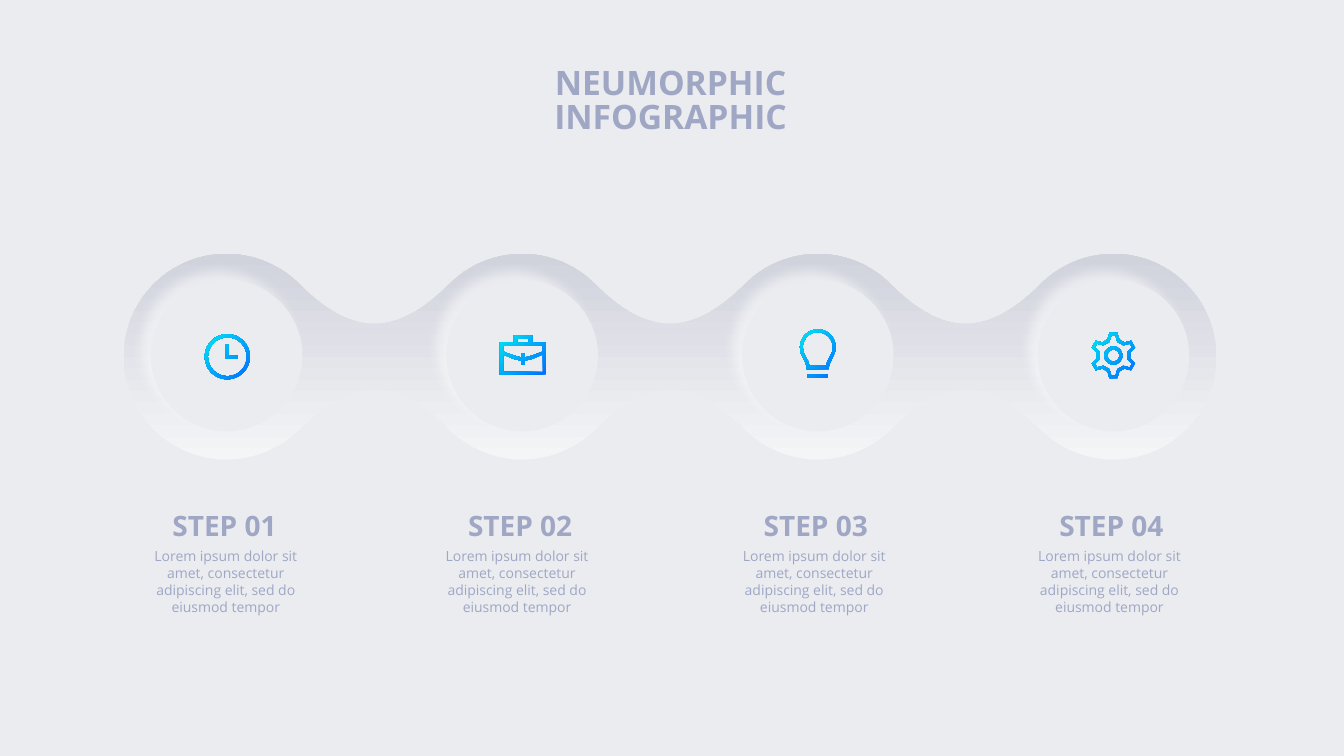
import math

from lxml import etree
from pptx import Presentation
from pptx.dml.color import RGBColor
from pptx.enum.shapes import MSO_SHAPE
from pptx.enum.text import MSO_ANCHOR, MSO_AUTO_SIZE, PP_ALIGN
from pptx.oxml.ns import qn
from pptx.util import Cm, Pt

OVAL = MSO_SHAPE.OVAL
TOP = MSO_ANCHOR.TOP
NO_FIT = MSO_AUTO_SIZE.NONE
CENTER = PP_ALIGN.CENTER

COLORS = {
    "paper": "EBECF0", "lavender": "9FA7C4", "highlight": "FFFFFF",
    "band_light": "F4F5F7", "band_dark": "D0D2DC",
    "icon_blue": "006EFF", "icon_cyan": "00E6F2",
}
FONT = "Open Sans"
TITLE_STYLE = {"size": Pt(24), "bold": True}
STEP_STYLE = {"size": Pt(20), "bold": True}
BODY_STYLE = {"size": Pt(10), "bold": False}
BODY = "Lorem ipsum dolor sit amet, consectetur adipiscing elit, sed do eiusmod tempor"

FIRST_X, CENTER_Y, PITCH = 5.71, 8.96, 7.45
LOBE_RADIUS, DISC_RADIUS, VALLEY_REACH = 2.59, 1.91, 1.34


def rgb(name):
    """Look up a named colour."""
    return RGBColor.from_string(COLORS[name])


def join(*pieces):
    """Link Bezier pieces, bridging gaps with straight curves."""
    joined = list(pieces[0])
    for piece in pieces[1:]:
        if math.dist(joined[-1], piece[0]) > .001:
            joined += [piece[0]] * 3
        joined += piece[1:]
    return joined


def polygon(points):
    """Turn corner points into a Bezier piece."""
    return join(*([point] for point in points))


def arc(radius, start, end, cx=0, cy=0):
    """Return an arc as Bezier points, split at the quadrants, in degrees."""
    stops = [start, *(a for a in range(-90, 361, 90) if start < a < end), end]
    points = [(cx + radius * math.cos(math.radians(start)),
               cy + radius * math.sin(math.radians(start)))]
    for first, last in zip(stops, stops[1:]):
        a, b = math.radians(first), math.radians(last)
        pull = 4 / 3 * math.tan((b - a) / 4)
        points += [(cx + radius * (math.cos(t) - k * math.sin(t)),
                    cy + radius * (math.sin(t) + k * math.cos(t)))
                   for t, k in ((a, pull), (b, -pull), (b, 0))]
    return points


def mirrored(right_half):
    """Complete a symmetric contour from its right half."""
    return join(right_half, [(-x, y) for x, y in reversed(right_half)])


def gear_contour(root, root_angle, tip, tip_angle):
    """Return the outline of a six-toothed gear."""
    tooth = [(root, -root_angle), (tip, -tip_angle), (tip, tip_angle), (root, root_angle)]
    return polygon([(r * math.sin(math.radians(60 * k + a)),
                     -r * math.cos(math.radians(60 * k + a)))
                    for k in range(6) for r, a in tooth])


def clock():
    """Return the contours of the clock icon."""
    hands = [(.28, .08), (-.03, .08), (-.03, -.28), (.05, -.28), (.05, 0), (.28, 0)]
    return [arc(.57, 0, 360, .02, .03), arc(.49, 0, 360, .02, .03), polygon(hands)]


def briefcase():
    """Return the contours of the briefcase icon."""
    halves = [
        [(.23, -.51), (.23, -.33), (.58, -.33), (.58, .48)],
        [(.15, -.42), (.15, -.33)],
        [(.5, -.25), (.5, -.1), (.23, 0), (.04, .05), (.04, -.05)],
        [(.5, .41), (.5, -.03), (.25, .08), (.04, .13), (.04, .23)],
    ]
    return [[(x + .02, y) for x, y in mirrored(polygon(half))] for half in halves]


def bulb():
    """Return the contours of the light bulb icon."""
    glass = join(arc(.45, -90, 20, 0, -.21), polygon([(.3, .21), (.28, .28), (.28, .34)]))
    inside = join(arc(.38, -90, 20, 0, -.21), polygon([(.24, .15), (.21, .25)]))
    return [mirrored(half) for half in (glass, inside, polygon([(.25, .47), (.25, .56)]))]


def gear():
    """Return the contours of the gear icon."""
    return [gear_contour(.43, 20, .58, 10), gear_contour(.36, 16, .51, 6),
            arc(.23, 0, 360), arc(.15, 0, 360)]


def draw_contours(slide, contours, cx, cy, colors, angle):
    """Draw closed Bezier contours as one gradient shape around a centre."""
    placed = [[(Cm(cx + x), Cm(cy + y)) for x, y in contour] for contour in contours]
    builder = slide.shapes.build_freeform(*placed[0][0], scale=1.0)
    for i, contour in enumerate(placed):
        if i:
            builder.move_to(*contour[0])
        builder.add_line_segments(contour[1:], close=True)
    outline = builder.convert_to_shape()
    segments = list(outline.element.iter(qn("a:lnTo")))
    for triple in zip(segments[::3], segments[1::3], segments[2::3]):
        curve = etree.Element(qn("a:cubicBezTo"))
        triple[0].addprevious(curve)
        for segment in triple:
            curve.append(segment[0])
            segment.getparent().remove(segment)
    outline.shadow.inherit = False
    outline.line.fill.background()
    outline.fill.gradient()
    outline.fill.gradient_angle = angle
    for stop, color, position in zip(outline.fill.gradient_stops, colors, (0, 1)):
        stop.color.rgb = rgb(color)
        stop.position = position


def write(frame, text, style, spacing, margins=(0, 0, 0, 0), wrap=True):
    """Write one centred paragraph into a text frame."""
    left, top, right, bottom = (Cm(margin) for margin in margins)
    settings = {"margin_left": left, "margin_top": top, "margin_right": right,
                "margin_bottom": bottom, "word_wrap": wrap,
                "auto_size": NO_FIT, "vertical_anchor": TOP}
    for key, value in settings.items():
        setattr(frame, key, value)
    frame.text = text
    paragraph = frame.paragraphs[0]
    paragraph.alignment = CENTER
    paragraph.line_spacing = spacing
    for run in paragraph.runs:
        for key, value in {"name": FONT, **style}.items():
            setattr(run.font, key, value)
        run.font.color.rgb = rgb("lavender")


def add_title(slide, left, top, width, height):
    """Place the two-line title."""
    title = slide.shapes.title
    title.left, title.top, title.width, title.height = map(Cm, (left, top, width, height))
    write(title.text_frame, "NEUMORPHIC\vINFOGRAPHIC", TITLE_STYLE, Pt(24.5),
          margins=(0, .15, 0, 0), wrap=False)


def add_band(slide, cx, cy, lobes):
    """Draw the wavy band that links the lobes."""
    pieces = []
    shoulder = LOBE_RADIUS / math.sqrt(2)
    for i in range(lobes):
        x = i * PITCH
        last = i == lobes - 1
        pieces.append(arc(LOBE_RADIUS, 225 if i else 180, 360 if last else 315, x))
        if not last:
            start, end, dip = x + shoulder, x + PITCH - shoulder, VALLEY_REACH - shoulder
            pieces.append([(start, -shoulder), (start + VALLEY_REACH, dip),
                           (end - VALLEY_REACH, dip), (end, -shoulder)])
    upper = join(*pieces)
    lower = [(x, -y) for x, y in reversed(upper)]
    draw_contours(slide, [join(upper, lower)], cx, cy, ("band_light", "band_dark"), 90)


def add_disc(slide, cx, cy):
    """Draw a raised disc with a soft white glow at its upper left."""
    disc = slide.shapes.add_shape(OVAL, Cm(cx - DISC_RADIUS), Cm(cy - DISC_RADIUS),
                                  Cm(2 * DISC_RADIUS), Cm(2 * DISC_RADIUS))
    disc.fill.solid()
    disc.fill.fore_color.rgb = rgb("paper")
    disc.line.fill.background()
    disc.shadow.inherit = False
    effects = disc.element.spPr.find(qn("a:effectLst"))
    glow = etree.SubElement(effects, qn("a:outerShdw"), blurRad=str(Pt(9)), dist=str(Pt(9)),
                            dir="13500000", algn="br", rotWithShape="0")
    tint = etree.SubElement(glow, qn("a:srgbClr"), val=COLORS["highlight"])
    etree.SubElement(tint, qn("a:alpha"), val="56000")


def add_step(slide, cx, cy, number, icon, body_shift):
    """Place one step: disc, icon, heading and text."""
    add_disc(slide, cx, cy)
    draw_contours(slide, icon(), cx, cy, ("icon_blue", "icon_cyan"), 135)
    heading = slide.shapes.add_textbox(Cm(cx - 1.37), Cm(cy + 3.85), Cm(2.64), Cm(.9))
    write(heading.text_frame, f"STEP {number:02}", STEP_STYLE, 1.0, wrap=False)
    body = slide.shapes.add_textbox(Cm(cx + body_shift - 2.16), Cm(cy + 4.71), Cm(4.32), Cm(1.96))
    write(body.text_frame, BODY, BODY_STYLE, 1.0, margins=(.25, .13, .25, .13))


def main():
    """Build the slide and save it."""
    deck = Presentation()
    deck.slide_width, deck.slide_height = Cm(33.87), Cm(19.05)
    slide = deck.slides.add_slide(deck.slide_layouts[5])
    slide.background.fill.solid()
    slide.background.fill.fore_color.rgb = rgb("paper")
    add_title(slide, 13.94, 1.55, 5.92, 1.88)
    steps = [(clock, -.02), (briefcase, -.13), (bulb, -.09), (gear, -.1)]
    add_band(slide, FIRST_X, CENTER_Y + .03, len(steps))
    for i, (icon, body_shift) in enumerate(steps):
        add_step(slide, FIRST_X + i * PITCH, CENTER_Y, i + 1, icon, body_shift)
    deck.save("out.pptx")


if __name__ == "__main__":
    main()
